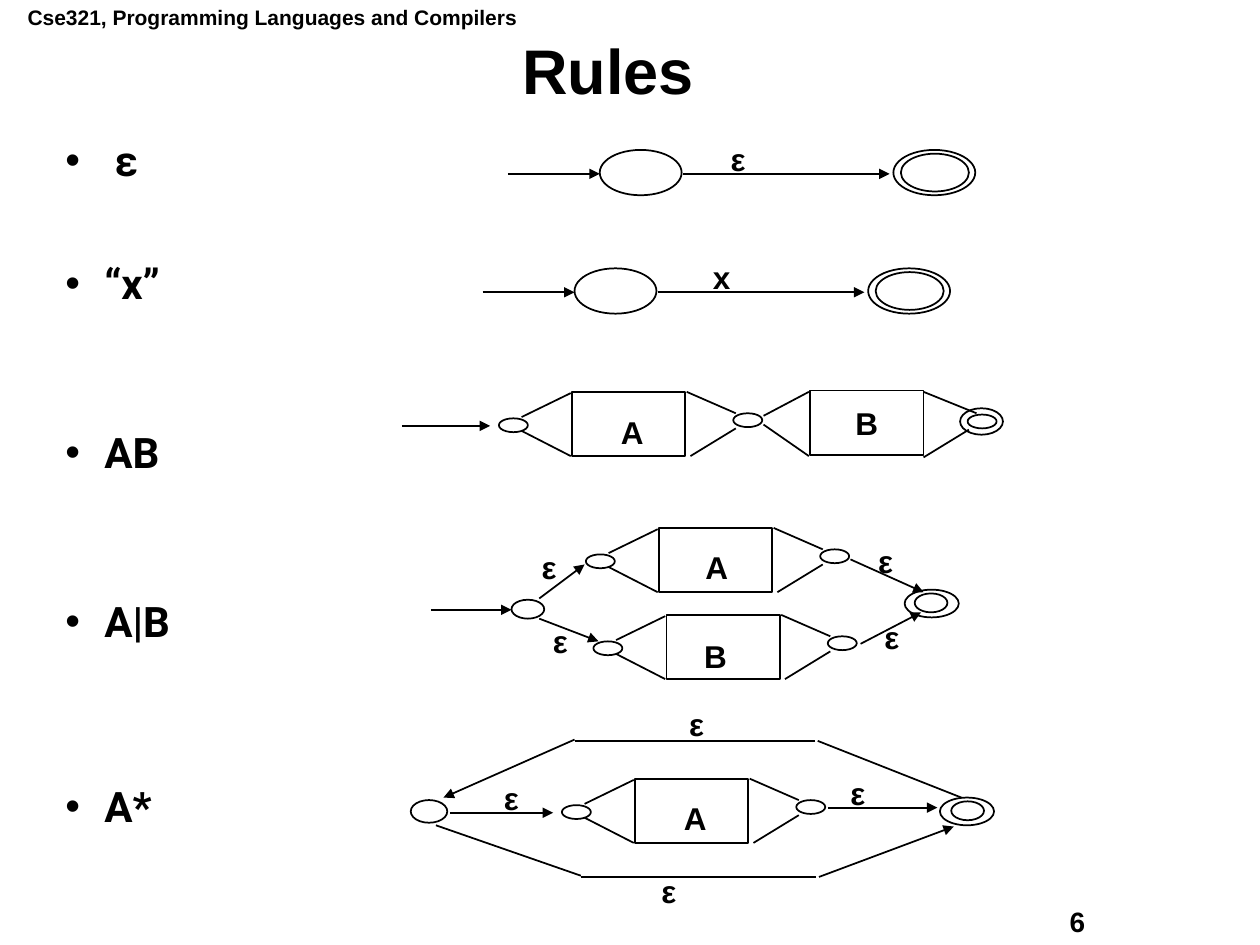
from pptx import Presentation
from pptx.dml.color import RGBColor
from pptx.enum.shapes import MSO_CONNECTOR as Conn, MSO_SHAPE as Shape
from pptx.enum.text import MSO_ANCHOR as Anchor, PP_ALIGN as Align
from pptx.oxml.ns import qn
from pptx.util import Emu, Inches, Pt
from lxml.etree import SubElement

BLACK = RGBColor(0, 0, 0)
WHITE = RGBColor(255, 255, 255)

# Content
HEAD = "Cse321, Programming Languages and Compilers"
TITLE = "Rules"
PAGE = "6"
RULES = [(" ε", 0), ("“x”", 44.4), ("AB", 70.7), ("A|B", 70.7), ("A*", 79.8)]

# One-step machines: left, top of the first state, label, label shift
STEPS = [(4.76, 1.19, "ε", 0.94), (4.56, 2.13, "x", 1.0)]

# Boxed machines: left, top of the box
PODS = [(4.54, 3.11), (5.23, 4.19), (5.29, 4.88), (5.04, 6.18)]

# Edges of a boxed machine, measured from the corner of its box
POD_EDGES = [(0.91, 0, 1.3, 0.17), (0.94, 0.51, 1.3, 0.29),
             (-0.4, 0.2, -0.01, 0.01), (-0.4, 0.31, -0.01, 0.51)]

# End states: left, top, width, height of the outer ring, then the inner one
ENDS = [((7.62, 3.24, 0.34, 0.21), (7.68, 3.29, 0.23, 0.11)),
        ((7.18, 4.68, 0.43, 0.22), (7.26, 4.71, 0.26, 0.15)),
        ((7.46, 6.33, 0.43, 0.22), (7.55, 6.36, 0.26, 0.15))]
STARTS = [(4.06, 4.76, 0.26, 0.15), (3.26, 6.35, 0.29, 0.18)]

# Plain edges: box B of AB, then the two loops of A*
EDGES = [(6.42, 3.11, 6.06, 3.3), (6.42, 3.62, 6.06, 3.37),
         (7.33, 3.11, 7.75, 3.28), (7.33, 3.63, 7.69, 3.41),
         (7.63, 6.33, 6.49, 5.88), (6.47, 5.88, 4.56, 5.88),
         (3.46, 6.55, 4.61, 6.95), (4.61, 6.96, 6.48, 6.96)]
ARROWS = [(3.19, 3.38, 3.89, 3.38),                              # AB
          (4.28, 4.75, 4.64, 4.48), (4.28, 4.91, 4.75, 5.09),    # A|B
          (6.75, 4.44, 7.33, 4.7), (6.83, 5.11, 7.31, 4.86),
          (3.42, 4.84, 4.06, 4.84),
          (3.57, 6.45, 4.39, 6.45), (4.56, 5.87, 3.52, 6.33),    # A*
          (6.57, 6.41, 7.44, 6.41), (6.5, 6.96, 7.57, 6.56)]
LABELS = [("A", 4.83, 3.23), ("A", 5.5, 4.3), ("B", 5.49, 5.01),
          ("A", 5.33, 6.29),
          ("ε", 4.2, 4.3), ("ε", 4.29, 4.89), ("ε", 6.87, 4.25),
          ("ε", 6.92, 4.86), ("ε", 5.37, 5.55), ("ε", 5.15, 6.87),
          ("ε", 3.9, 6.13), ("ε", 6.65, 6.09)]
WIDTHS = {"ε": 0.32, "x": 0.34, "A": 0.38, "B": 0.38}

deck = Presentation()
deck.slide_width, deck.slide_height = Inches(10), Inches(7.5)
slide = deck.slides.add_slide(deck.slide_layouts[5])
shapes = slide.shapes


def inch(*nums):
    return [Emu(Inches(n)) for n in nums]


def write(para, text, size, face="Arial"):
    run = para.add_run()
    run.text = text
    font = run.font
    font.name, font.size, font.bold = face, Pt(size), True
    font.color.rgb = BLACK


def note(text, x, y, w, h, size=18):
    box = shapes.add_textbox(*inch(x, y, w, h))
    box.text_frame.word_wrap = False
    write(box.text_frame.paragraphs[0], text, size)


def draw(kind, x, y, w, h):
    item = shapes.add_shape(kind, *inch(x, y, w, h))
    item.shadow.inherit = False
    item.fill.solid()
    item.fill.fore_color.rgb = WHITE
    item.line.color.rgb = BLACK
    item.line.width = Pt(1)
    return item


def oval(*area):
    return draw(Shape.OVAL, *area)


def edge(x1, y1, x2, y2, arrow=False):
    link = shapes.add_connector(Conn.STRAIGHT, *inch(x1, y1, x2, y2))
    link.line.color.rgb = BLACK
    link.line.width = Pt(1)
    if arrow:
        SubElement(link.line._get_or_add_ln(), qn("a:tailEnd"), type="triangle")
    SubElement(link._element.spPr, qn("a:effectLst"))


def step(x, y, text, shift):
    mid = y + 0.19
    oval(x, y, 0.65, 0.36)
    oval(x + 2.33, y, 0.65, 0.36)
    oval(x + 2.39, y + 0.03, 0.54, 0.3)
    edge(x + 0.66, mid, x + 2.3, mid, True)
    edge(x - 0.73, mid, x, mid, True)
    note(text, x + shift, y - 0.13, WIDTHS[text], 0.4)


def pod(x, y):
    draw(Shape.RECTANGLE, x, y, 0.9, 0.51)
    oval(x - 0.58, y + 0.21, 0.23, 0.11)
    oval(x + 1.28, y + 0.17, 0.23, 0.11)
    for x1, y1, x2, y2 in POD_EDGES:
        edge(x + x1, y + y1, x + x2, y + y2)


# Header, page number and title
note(HEAD, 0.12, -0.01, 4.09, 0.3, 12)
note(PAGE, 8.39, 7.13, 1.27, 0.36, 16)
title = shapes.title
title.left, title.top, title.width, title.height = inch(0.31, 0.31, 9.03, 0.56)
title.text_frame.vertical_anchor = Anchor.MIDDLE
para = title.text_frame.paragraphs[0]
para.alignment, para.line_spacing = Align.CENTER, 0.9
write(para, TITLE, 36)

# List of rules, spaced to meet the diagrams
body = shapes.add_textbox(*inch(0.42, 1.06, 3.03, 6.12)).text_frame
body.word_wrap = True
for i, (text, gap) in enumerate(RULES):
    para = body.add_paragraph() if i else body.paragraphs[0]
    props = para._p.get_or_add_pPr()
    props.set("marL", str(Inches(0.31)))
    props.set("indent", str(-Inches(0.31)))
    SubElement(props, qn("a:buFont"), typeface="Arial")
    SubElement(props, qn("a:buChar"), char="•")
    para.line_spacing = 0.9
    if gap:
        para.space_before = Pt(gap)
    write(para, text, 24, "Roboto")

# Diagrams: states first, then edges and labels
for row in STEPS:
    step(*row)
for outer, inner in ENDS:
    oval(*outer)
    oval(*inner)
for area in STARTS:
    oval(*area)
for spot in PODS:
    pod(*spot)
last = draw(Shape.RECTANGLE, 6.43, 3.1, 0.9, 0.51).text_frame
last.word_wrap = False
last.vertical_anchor = Anchor.MIDDLE
last.paragraphs[0].alignment = Align.CENTER
write(last.paragraphs[0], "B", 18)
for ends in EDGES:
    edge(*ends)
for ends in ARROWS:
    edge(*ends, arrow=True)
for text, x, y in LABELS:
    note(text, x, y, WIDTHS[text], 0.4)

deck.save("out.pptx")
